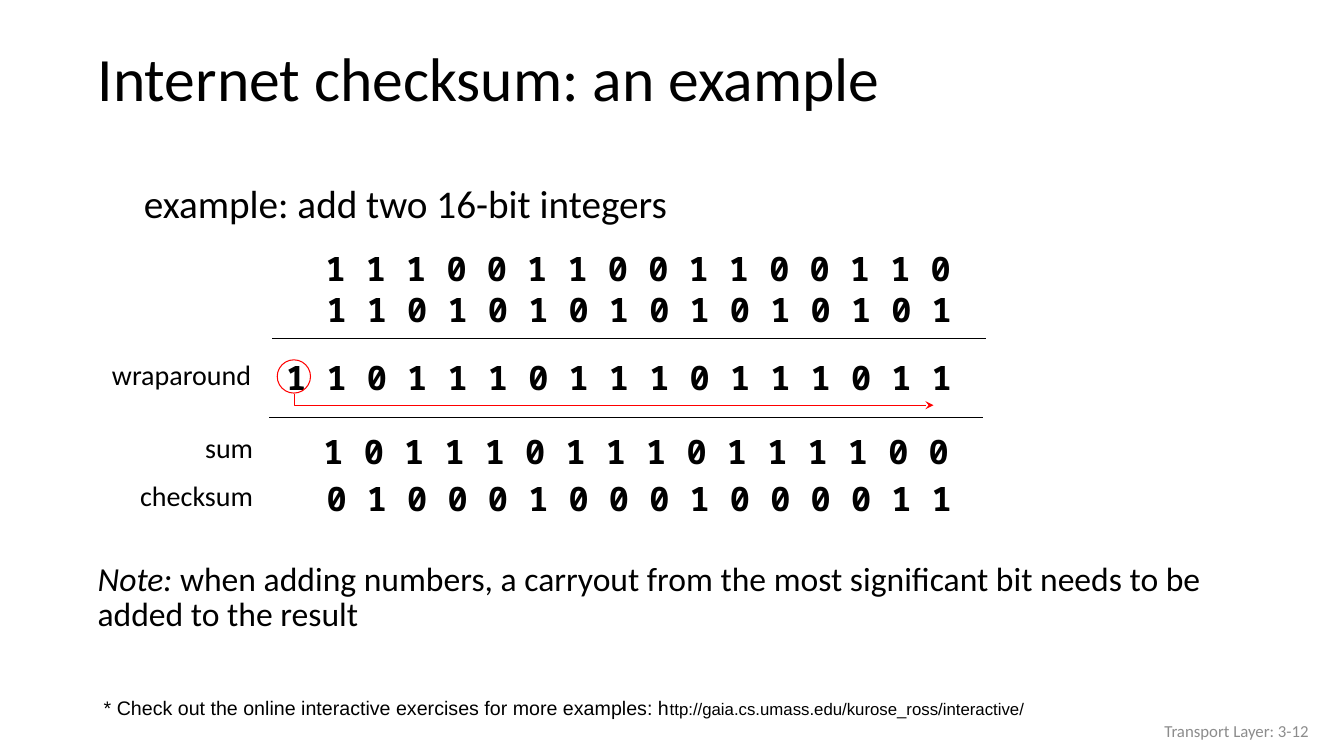
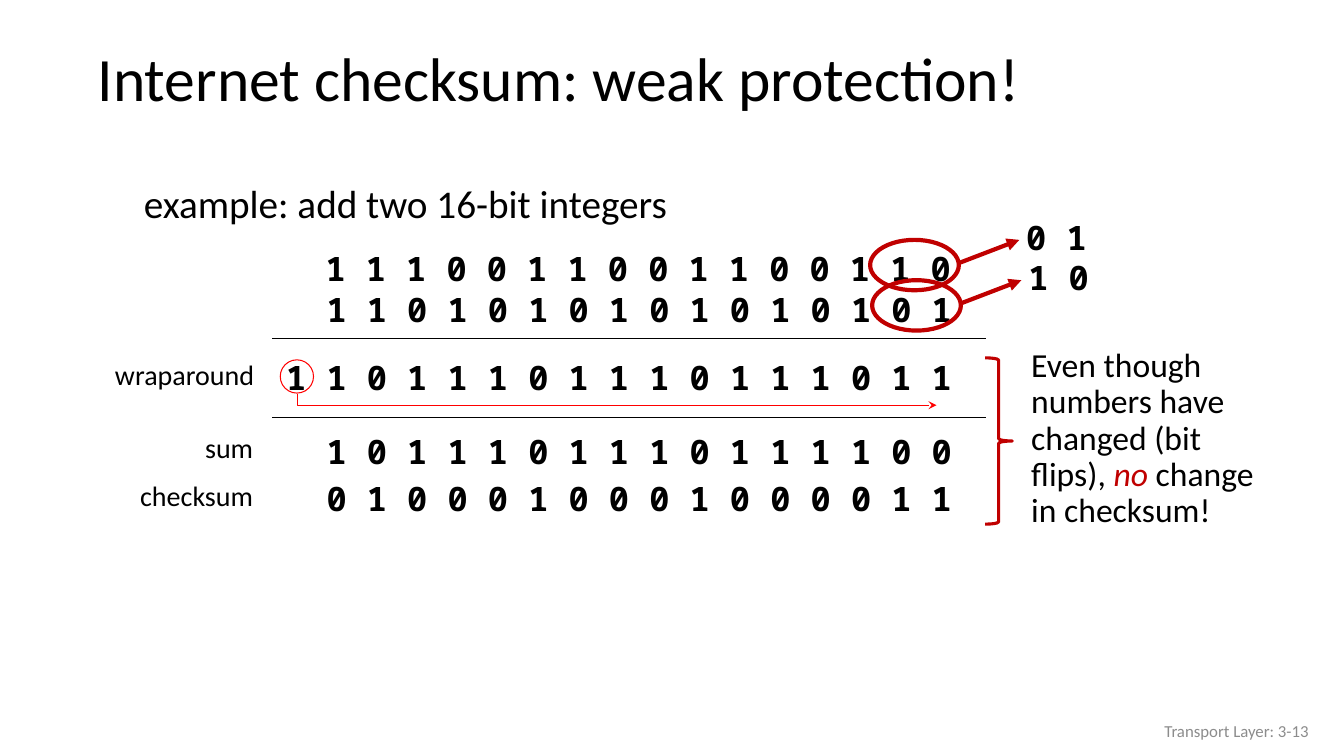
from lxml import etree
from pptx import Presentation
from pptx.dml.color import RGBColor
from pptx.enum.shapes import MSO_CONNECTOR, MSO_SHAPE
from pptx.enum.text import MSO_ANCHOR, PP_ALIGN
from pptx.oxml.ns import qn
from pptx.util import Inches, Pt

LEFT, RIGHT = PP_ALIGN.LEFT, PP_ALIGN.RIGHT
TOP, MIDDLE = MSO_ANCHOR.TOP, MSO_ANCHOR.MIDDLE
STRAIGHT = MSO_CONNECTOR.STRAIGHT
OVAL, BRACE = MSO_SHAPE.OVAL, MSO_SHAPE.RIGHT_BRACE

COLORS = {"text": "000000", "footer": "8C8C8C", "carry": "FF0000", "accent": "C00000"}
SANS, MONO, NOTE_FONT = "Calibri", "Noto Sans Mono", "Arial"
BITS = {"size": 24, "font": MONO, "bold": True}


def add_text(page, text, left, top, width, height, size=24, font=SANS, color="text",
             bold=False, align=LEFT, anchor=TOP, spacing=1.0):
    box = page.shapes.add_textbox(Inches(left), Inches(top), Inches(width), Inches(height))
    box.text_frame.word_wrap = True
    box.text_frame.vertical_anchor = anchor
    para = box.text_frame.paragraphs[0]
    para.alignment = align
    para.line_spacing = spacing
    spans = [(text, {})] if isinstance(text, str) else text
    for words, changes in spans:
        span = para.add_run()
        span.text = words
        span.font.name = font
        span.font.size = Pt(changes.get("size", size))
        span.font.bold = bold
        span.font.italic = changes.get("italic", False)
        span.font.color.rgb = RGBColor.from_string(COLORS[changes.get("color", color)])


def style_line(shape, color, width, arrow=None):
    shape.line.color.rgb = RGBColor.from_string(COLORS[color])
    shape.line.width = Pt(width)
    if arrow:
        etree.SubElement(shape.line._get_or_add_ln(), qn("a:tailEnd"), type=arrow)
    etree.SubElement(shape._element.spPr, qn("a:effectLst"))


deck = Presentation()
deck.slide_width, deck.slide_height = Inches(13.33), Inches(7.5)
blank = deck.slide_layouts[6]

titles = ["Internet checksum: an example", "Internet checksum: weak protection!"]
lower_shifts = [-0.03, 0]
pages = []

for number, (title, shift) in enumerate(zip(titles, lower_shifts), start=12):
    page = deck.slides.add_slide(blank)
    pages.append(page)
    add_text(page, title, 0.87, 0.32, 12.14, 0.98, size=44, anchor=MIDDLE, spacing=0.9)
    add_text(page, "example: add two 16-bit integers", 1.33, 1.59, 8.5, 0.8, size=28, spacing=1.3)
    add_text(page, f"Transport Layer: 3-{number}", 10.08, 7.05, 3, 0.4,
             size=12, color="footer", align=RIGHT, anchor=MIDDLE)

    bit_rows = [
        ("1110011001100110", 3.13, 2.41),
        ("1101010101010101", 3.14, 2.82),
        ("11011101110111011", 2.74, 3.49),
        ("1011101110111100", 3.14 + shift, 4.23),
        ("0100010001000011", 3.14, 4.69),
    ]
    for bits, left, top in bit_rows:
        add_text(page, " ".join(bits), left, top, 6.85, 0.5, **BITS)

    for label, left, top in [("wraparound", 0.62 + shift, 3.5), ("sum", 0.61, 4.22),
                             ("checksum", 0.61, 4.7)]:
        add_text(page, label, left, top, 2, 0.44, size=20, align=RIGHT)

    for left, top in [(2.7, 3.36), (2.7 + shift, 4.14)]:
        rule = page.shapes.add_connector(STRAIGHT, Inches(left), Inches(top),
                                         Inches(left + 7.08), Inches(top))
        style_line(rule, "text", 1)

    carry_ring = page.shapes.add_shape(OVAL, Inches(2.78 + shift), Inches(3.57),
                                       Inches(0.33), Inches(0.33))
    carry_ring.fill.background()
    style_line(carry_ring, "carry", 0.75)

    start, end = Inches(2.95 + shift), Inches(9.29 + shift)
    builder = page.shapes.build_freeform(start, Inches(3.91))
    builder.add_line_segments([(start, Inches(4.02)), (end, Inches(4.02))], close=False)
    carry_path = builder.convert_to_shape()
    carry_path.fill.background()
    style_line(carry_path, "carry", 0.75, arrow="stealth")

example_page, weak_page = pages

add_text(example_page, [
    ("Note:", {"italic": True}),
    (" when adding numbers, a carryout from the most significant bit needs to be added to the result", {}),
], 0.87, 5.55, 11.34, 1.18, spacing=0.85)
add_text(example_page, [
    ("* Check out the online interactive exercises for more examples: h", {}),
    ("ttp://gaia.cs.umass.edu/kurose_ross/interactive/", {"size": 12}),
], 0.93, 6.85, 10.78, 0.34, size=14, font=NOTE_FONT)

for flipped_bits, left, top in [("01", 8.63, 2.38), ("10", 8.65, 2.78)]:
    flip_ring = weak_page.shapes.add_shape(OVAL, Inches(left), Inches(top), Inches(0.88), Inches(0.5))
    flip_ring.fill.background()
    style_line(flip_ring, "accent", 3)
    flip_arrow = weak_page.shapes.add_connector(STRAIGHT, Inches(left + 0.88), Inches(top + 0.23),
                                                Inches(left + 1.48), Inches(top))
    style_line(flip_arrow, "accent", 3, arrow="triangle")
    add_text(weak_page, " ".join(flipped_bits), left + 1.45, top - 0.28, 1.01, 0.5, **BITS)

brace = weak_page.shapes.add_shape(BRACE, Inches(9.77), Inches(3.55), Inches(0.27), Inches(1.65))
brace.fill.background()
style_line(brace, "accent", 2.25)
add_text(weak_page, [
    ("Even though numbers have changed (bit flips), ", {}),
    ("no", {"italic": True, "color": "accent"}),
    (" change in checksum!", {}),
], 10.13, 3.41, 2.63, 1.92, spacing=0.9)

deck.save("out.pptx")
